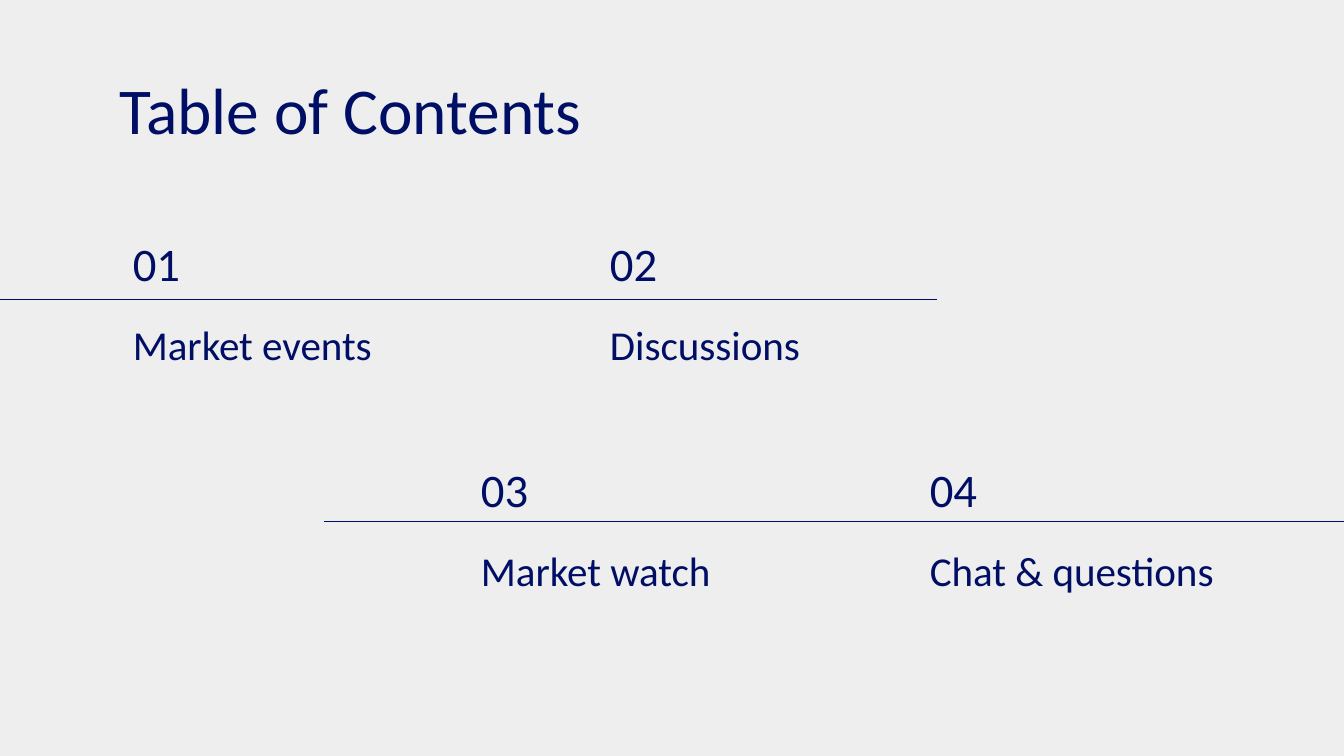
import pptx
import pptx.util
import pptx.dml.color
import pptx.enum.shapes
import pptx.enum.text
import pptx.oxml

NAVY = pptx.dml.color.RGBColor(0x00, 0x0F, 0x65)
PALE = pptx.dml.color.RGBColor(0xEE, 0xEE, 0xEE)
WIDE = 10
HIGH = WIDE * 9 / 16
inch = pptx.util.Inches

TITLE = "Table of Contents"
# Each row: top, height of its rule, start and end of the rule, entries
ROWS = [
    {"top": 1.63, "rule": 2.23, "ends": (0, 6.97),
     "items": [(0.89, "01", "Market events"), (4.44, "02", "Discussions")]},
    {"top": 3.31, "rule": 3.88, "ends": (2.41, WIDE),
     "items": [(3.48, "03", "Market watch"), (6.82, "04", "Chat & questions")]},
]
NUM = {"width": 1.39, "height": 0.65, "size": 25}
NAME = {"width": 2.56, "height": 0.5, "size": 22}
DROP = 0.68  # from the top of a number to the top of its name
FRAME = {
    "word_wrap": True,
    "auto_size": pptx.enum.text.MSO_AUTO_SIZE.NONE,
    "vertical_anchor": pptx.enum.text.MSO_ANCHOR.MIDDLE,
    "margin_left": inch(0.1), "margin_right": inch(0.1),
    "margin_top": inch(0.1), "margin_bottom": inch(0.1),
}


def write(shape, text, size):
    frame = shape.text_frame
    for key, value in FRAME.items():
        setattr(frame, key, value)
    frame.text = text
    line = frame.paragraphs[0]
    line.alignment = pptx.enum.text.PP_ALIGN.LEFT
    font = line.runs[0].font
    font.name, font.size = "Calibri", pptx.util.Pt(size)
    font.color.rgb = NAVY


def label(slide, text, left, top, form):
    box = slide.shapes.add_textbox(
        *map(inch, (left, top, form["width"], form["height"])))
    write(box, text, form["size"])


def rule(slide, start, end, y):
    line = slide.shapes.add_connector(
        pptx.enum.shapes.MSO_CONNECTOR.STRAIGHT,
        *map(inch, (start, y, end, y)))
    line.line.color.rgb = NAVY
    line.line.width = pptx.util.Pt(0.75)
    props = line._element.spPr
    props.append(pptx.oxml.parse_xml(
        '<a:effectLst xmlns:a='
        '"http://schemas.openxmlformats.org/drawingml/2006/main"/>'))


def main():
    deck = pptx.Presentation()
    deck.slide_width, deck.slide_height = inch(WIDE), inch(HIGH)
    slide = deck.slides.add_slide(deck.slide_layouts[5])
    slide.background.fill.solid()
    slide.background.fill.fore_color.rgb = PALE

    title = slide.shapes.title
    place = {"left": 0.79, "top": 0.49, "width": 8.43, "height": 0.63}
    for key, value in place.items():
        setattr(title, key, inch(value))
    write(title, TITLE, 35)

    for row in ROWS:
        for left, num, name in row["items"]:
            label(slide, num, left, row["top"], NUM)
            label(slide, name, left, row["top"] + DROP, NAME)
        rule(slide, *row["ends"], row["rule"])
    deck.save("out.pptx")


if __name__ == "__main__":
    main()
